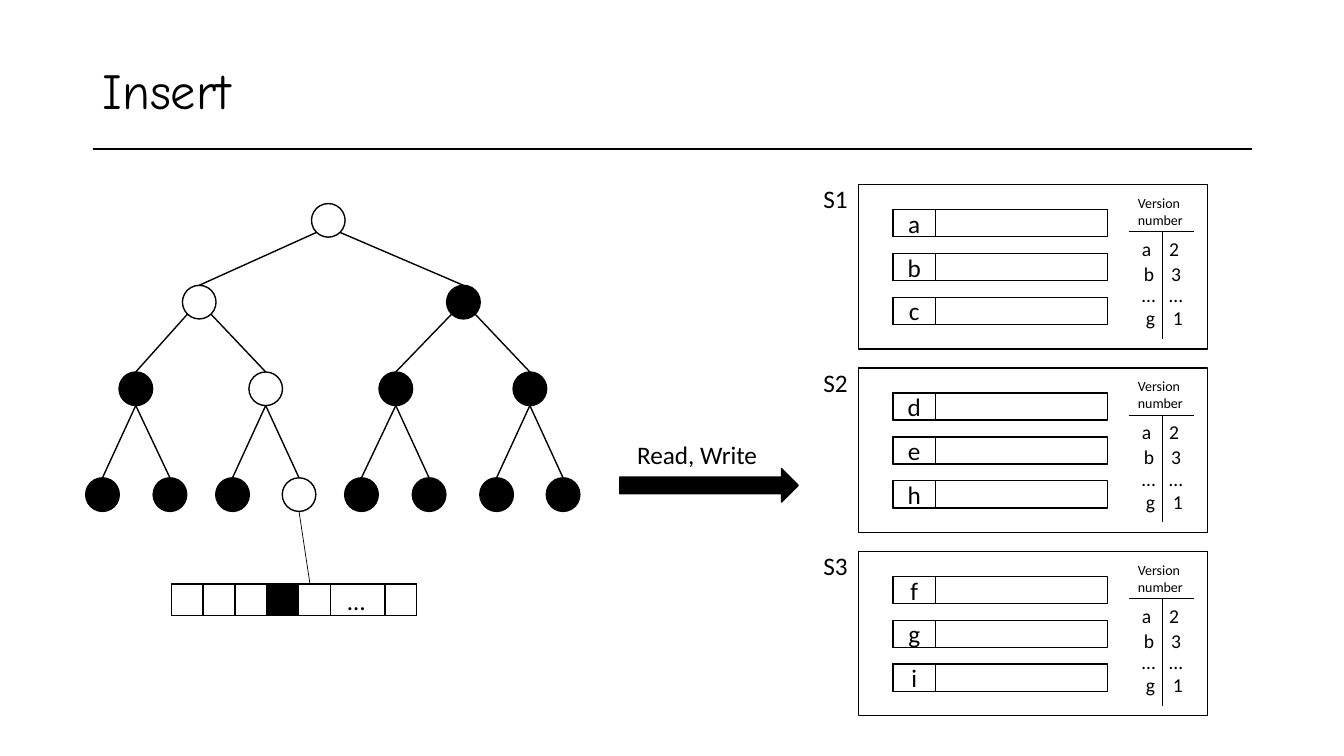
from pptx import Presentation
from pptx.dml.color import RGBColor
from pptx.enum.shapes import MSO_CONNECTOR as LINK, MSO_SHAPE as KIND
from pptx.enum.text import MSO_ANCHOR as ANCHOR, PP_ALIGN as ALIGN
from pptx.oxml import parse_xml
from pptx.oxml.ns import nsdecls
from pptx.util import Pt

BLACK, WHITE = "000000", "FFFFFF"


def color(code):
    return RGBColor.from_string(code)


def write(frame, text, size=18, font="Calibri", align=ALIGN.LEFT,
          anchor=ANCHOR.TOP, wrap=False, space=None, tab=None):
    """Fill a text frame; tab is the distance of a tab stop from the text's edge."""
    frame.word_wrap = wrap
    frame.vertical_anchor = anchor
    para = frame.paragraphs[0]
    para.alignment = align
    if space:
        para.line_spacing = space
    if tab:
        para._p.get_or_add_pPr().append(parse_xml(
            f'<a:tabLst {nsdecls("a")}><a:tab pos="{Pt(tab)}" algn="l"/></a:tabLst>'))
    run = para.add_run()
    run.text = text
    run.font.size = Pt(size)
    run.font.name = font
    run.font.color.rgb = color(BLACK)


class Board:
    def __init__(self, slide, ink=BLACK, width=1):
        self.shapes = slide.shapes
        self.ink = ink
        self.width = width

    def shape(self, kind, x, y, w, h, fill=WHITE):
        item = self.shapes.add_shape(kind, Pt(x), Pt(y), Pt(w), Pt(h))
        item.shadow.inherit = False
        item.fill.solid()
        item.fill.fore_color.rgb = color(fill)
        item.line.color.rgb = color(self.ink)
        item.line.width = Pt(self.width)
        return item

    def box(self, x, y, w, h, fill=WHITE):
        return self.shape(KIND.RECTANGLE, x, y, w, h, fill)

    def label(self, text, x, y, w, h, **style):
        item = self.shapes.add_textbox(Pt(x), Pt(y), Pt(w), Pt(h))
        write(item.text_frame, text, **style)

    def line(self, x1, y1, x2, y2, width=None, top_of=None):
        """Draw a line; top_of is a shape whose top middle it ends at."""
        item = self.shapes.add_connector(LINK.STRAIGHT, Pt(x1), Pt(y1), Pt(x2), Pt(y2))
        item.line.color.rgb = color(self.ink)
        item.line.width = Pt(width or self.width)
        item._element.spPr.append(parse_xml(f'<a:effectLst {nsdecls("a")}/>'))
        if top_of is not None:
            item.end_connect(top_of, 0)


# Left edges of the nodes on each level, and the white node of that level
SIZE = 24
TREE = [
    (145.4, 0, [222.5]),
    (203.8, 0, [130.3, 319]),
    (265.7, 1, [85, 177.8, 270.7, 366.5]),
    (341.3, 3, [61.2, 109.4, 154.1, 201.6, 246.2, 294.5, 342.7, 390.2]),
]


def draw_tree(board):
    for depth, (top, white, lefts) in enumerate(TREE):
        for i, left in enumerate(lefts):
            node = board.shape(KIND.OVAL, left, top, SIZE, SIZE,
                               WHITE if i == white else BLACK)
            if depth == 0:
                continue
            above, _, parents = TREE[depth - 1]
            side = 8.4 if i % 2 else -8.4
            start, drop = (0, SIZE) if depth == 3 else (side, 20.6)
            board.line(parents[i // 2] + SIZE / 2 + start, above + drop,
                       left + SIZE / 2, top, top_of=node)


def draw_bucket(board):
    left, top, step, side = 122.4, 417, 22.7, 22.6
    bar = board.box(left + step, top, 152.6, side)
    for i in range(5):
        board.box(left + i * step, top, step, side, BLACK if i == 3 else WHITE)
    board.box(275, top, step, side)
    board.label("…", 241.2, 414.7, 27.4, 28.8)
    board.line(213.6, 365.3, 221.7, top, width=0.5, top_of=bar)


VERSIONS = [("a\t2", 808.6, 33.8), ("b\t3", 810, 51.8),
            ("…\t…", 808.6, 67), ("g\t1", 811.4, 83.5)]


def draw_server(board, name, keys, top):
    board.box(613.4, top, 249.1, 117.4)
    for i, key in enumerate(keys):
        y = top + 18 + 31.3 * i
        board.box(637.9, y, 153.4, 19.4)
        cell = board.box(637.9, y, 30.2, 19.4)
        write(cell.text_frame, key, align=ALIGN.CENTER, anchor=ANCHOR.MIDDLE, wrap=True)
    board.label(name, 581, top - 4.3, 32.4, 28.8)
    board.line(806.4, top + 33.8, 853.2, top + 33.8, width=0.5)
    board.line(830.2, top + 33.8, 830.2, top + 110.2, width=0.5)
    board.label("Version number", 805.7, top + 3.6, 73.4, 31.7, size=10, wrap=True)
    for text, x, drop in VERSIONS:
        board.label(text, x, top + drop, 46, 24.5, size=14, wrap=True, tab=19.4)


def main():
    deck = Presentation()
    deck.slide_width, deck.slide_height = Pt(960), Pt(540)
    board = Board(deck.slides.add_slide(deck.slide_layouts[6]))

    board.label("Insert", 66.2, 28.8, 828, 75.6, size=36, font="Comic Neue",
                anchor=ANCHOR.MIDDLE, wrap=True, space=0.9)
    board.line(66.2, 106.6, 894.2, 106.6, width=1.5)
    draw_tree(board)
    draw_bucket(board)
    for i, keys in enumerate(["abc", "deh", "fgi"]):
        draw_server(board, f"S{i + 1}", keys, 131.8 + 131 * i)
    board.shape(KIND.RIGHT_ARROW, 442.8, 334.8, 127.4, 23.8, BLACK)
    board.label("Read, Write", 446.4, 310.3, 101.5, 28.8, align=ALIGN.RIGHT)
    deck.save("out.pptx")


if __name__ == "__main__":
    main()
